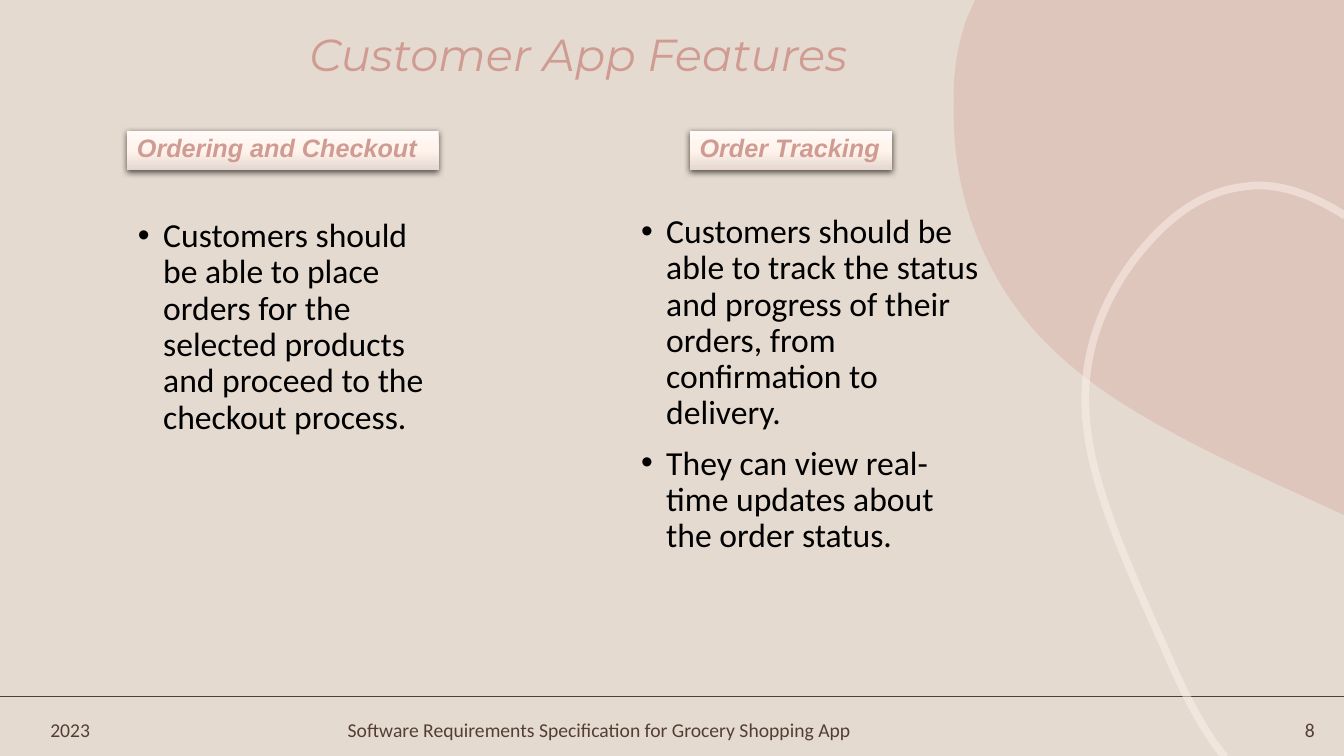
from lxml import etree
from pptx import Presentation, util as u
from pptx.dml.color import RGBColor
from pptx.enum import shapes, text
from pptx.oxml.ns import qn

THEME = {
    "sand": "E5DACF", "rose": "CF9B92", "brown": "543E34", "cream": "FEF3ED", "black": "000000",
    "label_stops": [(0, "FFFAF7"), (50, "FFF3EC"), (100, "E5D7CF")],
    "title": 32, "body": 24, "label": 18, "footer": 14,
    "title_font": "Montserrat", "body_font": "Calibri", "label_font": "Arial",
}
SIZE = (13.33, 7.5)
RULE_Y = 6.91
TITLE = ("Customer App Features", (2.97, 0.1, 6.34, 0.94))
POINTS = [
    (["Customers should be able to place orders for the selected products "
      "and proceed to the checkout process."], (1.27, 2.12, 3.25, 4.84)),
    (["Customers should be able to track the status and progress of their orders, "
      "from confirmation to delivery.",
      "They can view real-time updates about the order status."], (6.26, 2.08, 3.6, 4.73)),
]
LABELS = [
    ("Order Tracking", (6.84, 1.3, 2.01, 0.39)),
    ("Ordering and Checkout", (1.26, 1.3, 3.09, 0.39)),
]
YEAR = ("2023", 0.4, 1.08, text.PP_ALIGN.LEFT)
NUMBER = ("8", 12.06, 1.08, text.PP_ALIGN.RIGHT)
DOCUMENT = ("Software Requirements Specification for Grocery Shopping App", 3.34, 5.21,
            text.PP_ALIGN.CENTER)
FOOTER_Y, FOOTER_HEIGHT = 7.07, 0.34
BLOB_BOX = (9.46, 0, 3.88, 5.11)
BLOB = [(9.67, 0), (13.33, 0), (13.33, 5.11), (13.07, 4.99),
        (11.36, 4.21, 10.32, 3.69, 9.78, 2.55), (9.48, 1.93, 9.45, 1.35, 9.46, 1.01),
        (9.45, 0.79, 9.48, 0.49, 9.59, 0.18)]
LOOP_BOX = (10.77, 1.84, 2.58, 5.67)
LOOP = [(12.15, 7.51), (11.98, 7.31, 11.79, 6.99, 11.56, 6.45),
        (10.94, 5.07, 10.58, 4.24, 10.86, 3.32), (11.01, 2.85, 11.27, 2.53, 11.44, 2.35),
        (11.61, 2.17, 11.92, 1.89, 12.36, 1.85), (12.41, 1.84, 12.47, 1.84, 12.52, 1.84),
        (12.79, 1.85, 13.08, 1.97, 13.34, 2.14)]


def color(name):
    return RGBColor.from_string(THEME[name])


def inches(values):
    return [u.Inches(value) for value in values]


def add_xml(parent, tag, **attributes):
    child = etree.SubElement(parent, qn(tag))
    for name, value in attributes.items():
        child.set(name, str(value))
    return child


def set_opacity(fill_element, percent):
    add_xml(fill_element.find(".//" + qn("a:srgbClr")), "a:alpha", val=percent * 1000)


def write_text(shape, lines, size, font, ink, align=text.PP_ALIGN.LEFT, anchor=text.MSO_ANCHOR.TOP,
               bold=False, italic=False, spacing=None, before=None, bullet=False):
    frame = shape.text_frame
    frame.word_wrap = True
    frame.vertical_anchor = anchor
    for index, line in enumerate(lines):
        para = frame.add_paragraph() if index else frame.paragraphs[0]
        para.alignment = align
        if spacing:
            para.line_spacing = spacing
        if before:
            para.space_before = u.Pt(before)
        if bullet:
            properties = para._p.get_or_add_pPr()
            properties.set("marL", str(u.Inches(0.25)))
            properties.set("indent", str(-u.Inches(0.25)))
            add_xml(properties, "a:buFont", typeface="Arial")
            add_xml(properties, "a:buChar", char="•")
        span = para.add_run()
        span.text = line
        span.font.size = u.Pt(THEME[size])
        span.font.name = THEME[font]
        span.font.bold = bold
        span.font.italic = italic
        span.font.color.rgb = color(ink)


def add_text(page, lines, place, **style):
    box = page.shapes.add_textbox(*inches(place))
    write_text(box, lines, **style)


def add_footer(page, words, left, width, align):
    add_text(page, [words], (left, FOOTER_Y, width, FOOTER_HEIGHT), size="footer",
             font="body_font", ink="brown", align=align, anchor=text.MSO_ANCHOR.MIDDLE)


def add_outline(page, segments, place, close):
    ends = [inches(segment[-2:]) for segment in segments]
    builder = page.shapes.build_freeform(*ends[0])
    builder.add_line_segments(ends[1:], close=close)
    shape = builder.convert_to_shape()
    shape.left, shape.top, shape.width, shape.height = inches(place)
    shape.shadow.inherit = False

    outline = shape._element.spPr.find(".//" + qn("a:path"))
    outline.set("w", str(shape.width))
    outline.set("h", str(shape.height))
    for step, segment in zip(list(outline), segments):
        if len(segment) == 6:
            step.tag = qn("a:cubicBezTo")
        for point in list(step):
            step.remove(point)
        for x, y in zip(segment[::2], segment[1::2]):
            add_xml(step, "a:pt", x=u.Inches(x) - shape.left, y=u.Inches(y) - shape.top)
    return shape


def add_decoration(page):
    rule = page.shapes.add_connector(shapes.MSO_CONNECTOR.STRAIGHT,
                                     *inches((0, RULE_Y, SIZE[0], RULE_Y)))
    rule.line.color.rgb = color("brown")
    rule.line.width = u.Pt(1.25)
    add_xml(rule._element.spPr, "a:effectLst")

    blob = add_outline(page, BLOB, BLOB_BOX, True)
    blob.fill.solid()
    blob.fill.fore_color.rgb = color("rose")
    set_opacity(blob._element.spPr.find(qn("a:solidFill")), 30)
    blob.line.fill.background()

    loop = add_outline(page, LOOP, LOOP_BOX, False)
    loop.fill.background()
    loop.line.color.rgb = color("cream")
    loop.line.width = u.Pt(5.5)
    set_opacity(loop._element.spPr.find(qn("a:ln")), 50)


def add_label(page, words, place):
    label = page.shapes.add_shape(shapes.MSO_SHAPE.RECTANGLE, *inches(place))
    label.fill.gradient()
    label.fill.gradient_angle = 270
    properties = label._element.spPr
    stops = properties.find(".//" + qn("a:gsLst"))
    for stop in list(stops):
        stops.remove(stop)
    for position, value in THEME["label_stops"]:
        add_xml(add_xml(stops, "a:gs", pos=position * 1000), "a:srgbClr", val=value)
    label.line.fill.background()
    label.shadow.inherit = False
    shadow = add_xml(properties.find(qn("a:effectLst")), "a:outerShdw", blurRad=u.Pt(4.5),
                     dist=u.Pt(1.5), dir=90 * 60000, algn="ctr", rotWithShape=0)
    add_xml(add_xml(shadow, "a:srgbClr", val=THEME["black"]), "a:alpha", val=63000)
    write_text(label, [words], size="label", font="label_font", ink="rose",
               bold=True, italic=True, spacing=0.9, before=10)


def main():
    deck = Presentation()
    deck.slide_width, deck.slide_height = inches(SIZE)
    page = deck.slides.add_slide(deck.slide_layouts[6])
    page.background.fill.solid()
    page.background.fill.fore_color.rgb = color("sand")
    add_decoration(page)
    add_footer(page, *YEAR)
    add_footer(page, *NUMBER)
    words, place = TITLE
    add_text(page, [words], place, size="title", font="title_font", ink="rose",
             anchor=text.MSO_ANCHOR.MIDDLE, italic=True, spacing=0.9)
    for lines, place in POINTS:
        add_text(page, lines, place, size="body", font="body_font", ink="black",
                 spacing=0.9, before=10, bullet=True)
    for words, place in LABELS:
        add_label(page, words, place)
    add_footer(page, *DOCUMENT)
    deck.save("out.pptx")


if __name__ == "__main__":
    main()
